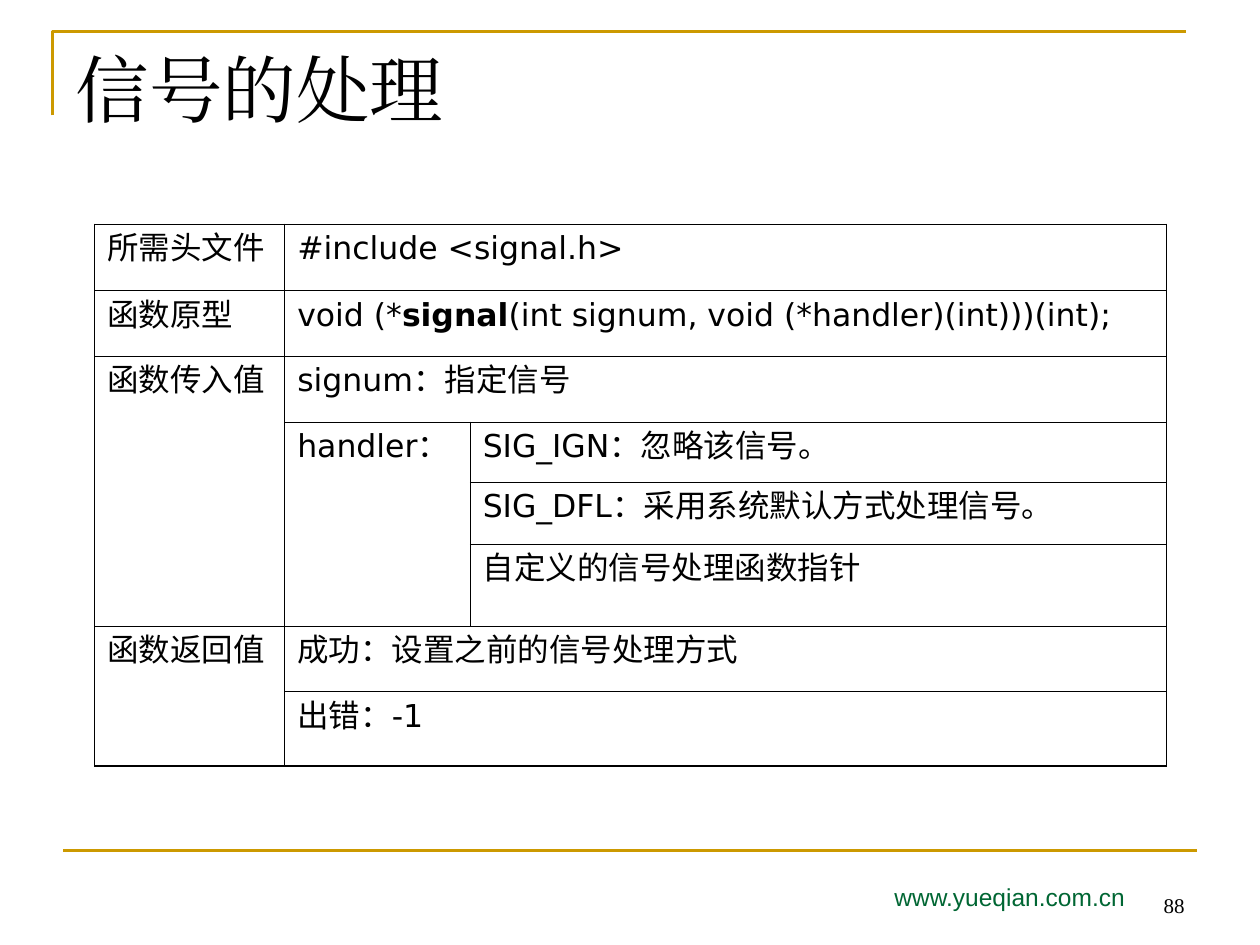
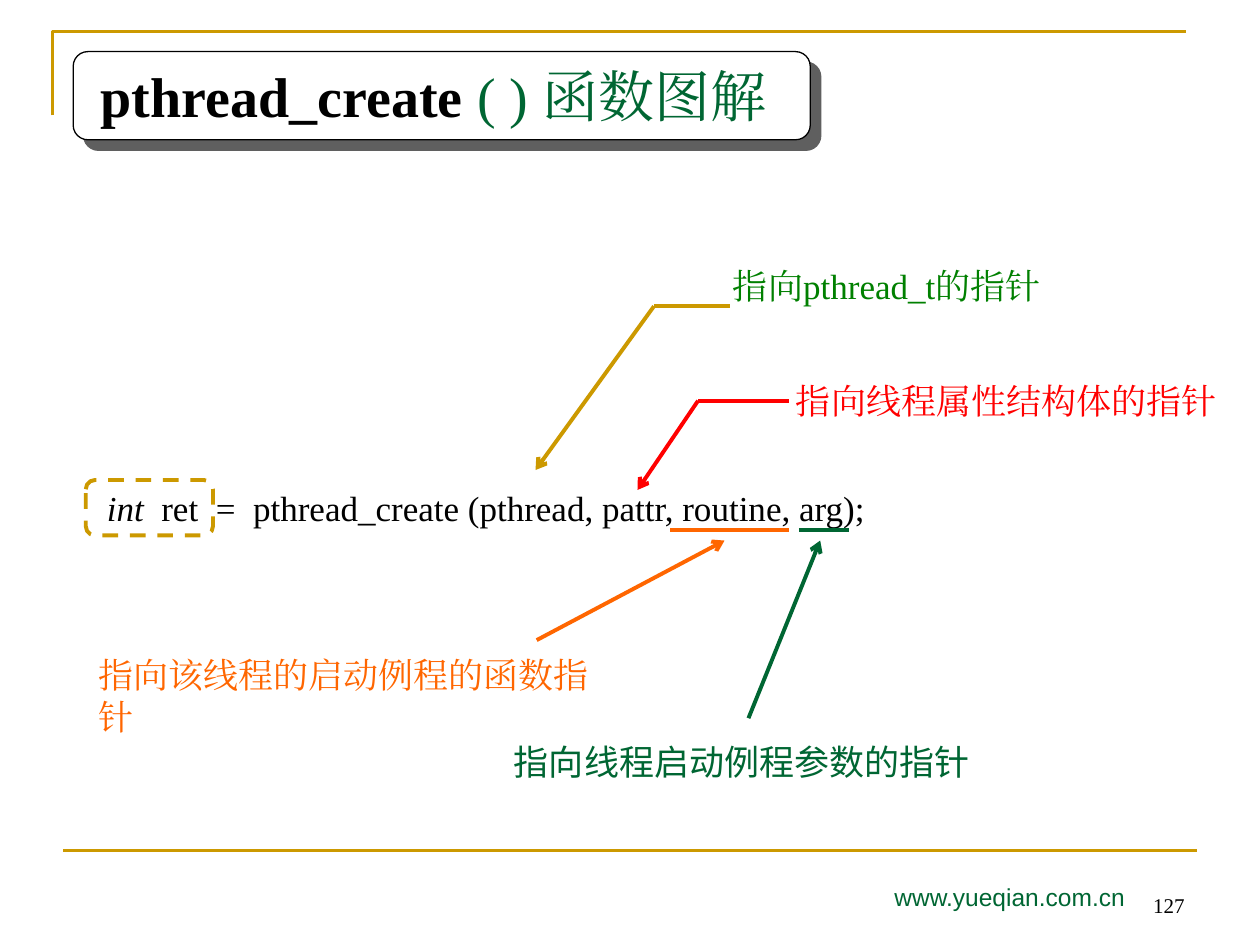
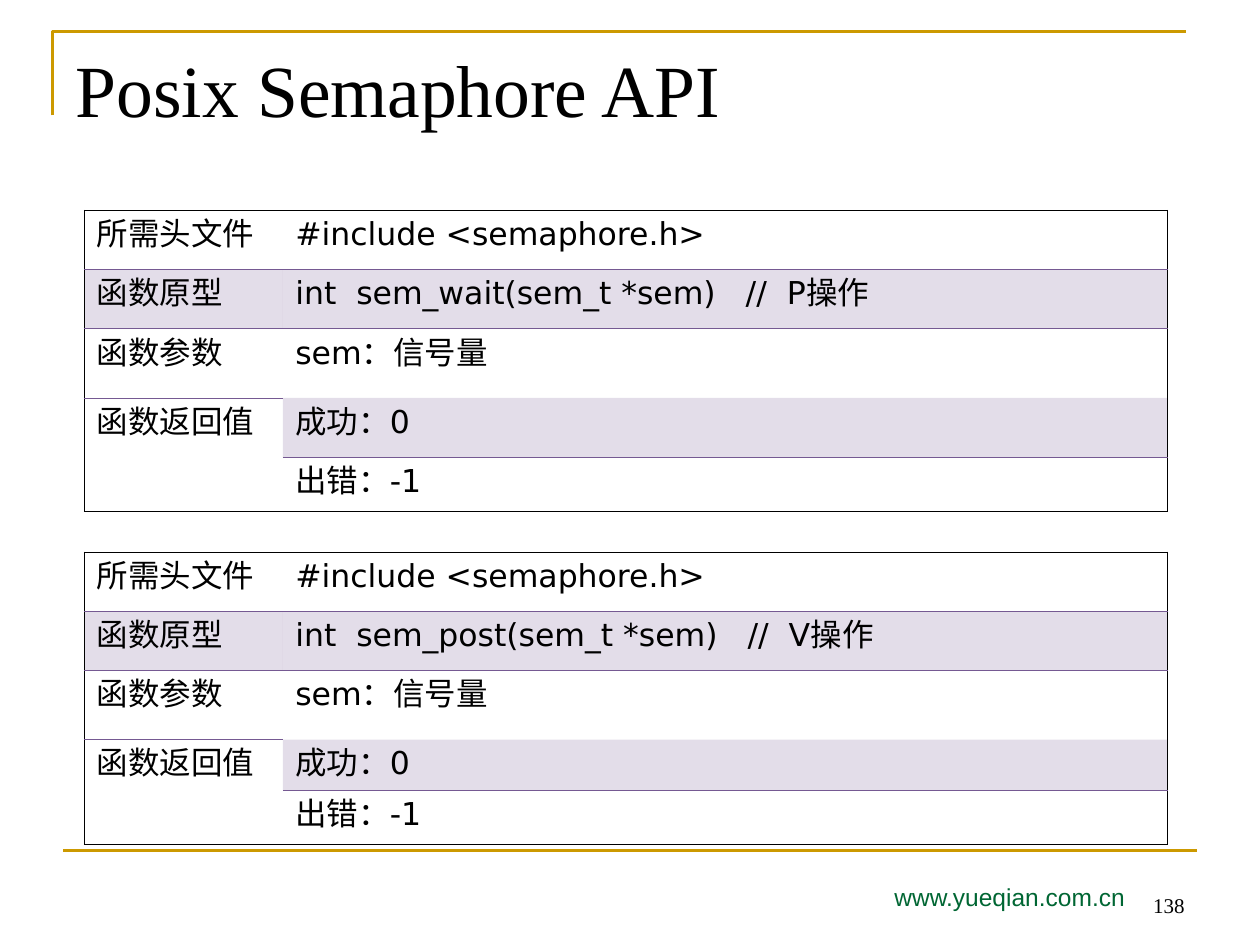
from lxml import etree
from pptx import Presentation
from pptx.dml.color import RGBColor
from pptx.enum import dml, shapes, text
from pptx.oxml.ns import qn
from pptx.util import Pt

GOLD, GREEN, BLACK, WHITE = "CC9900", "006633", "000000", "FFFFFF"
LEAF, RED, ORANGE = "008000", "FF0000", "FF6600"
PURPLE, SHADOW = "755992", "5F5F5F"
SERIF, SANS, TABLE_FONT = "Times New Roman", "Arial", "DejaVu Sans"
NO_GRID_STYLE = "{2D5ABB26-0587-4C30-8999-92F81FD0307C}"
RULE = 0.45


def rgb(value):
    return RGBColor.from_string(value)


def child(parent, tag, **attrs):
    return etree.SubElement(parent, qn(tag), {k: str(v) for k, v in attrs.items()})


def add_run(p, words, size, color=BLACK, font=SERIF, bold=False, italic=False):
    r = p.add_run()
    r.text = words
    r.font.size, r.font.name = Pt(size), font
    r.font.bold, r.font.italic = bold, italic
    r.font.color.rgb = rgb(color)
    child(r._r.get_or_add_rPr(), "a:ea", typeface=font)


def place(sp, box):
    sp.left, sp.top, sp.width, sp.height = map(Pt, box)


def add_label(slide, box, runs, wrap=False, align=text.PP_ALIGN.LEFT,
              anchor=text.MSO_ANCHOR.TOP):
    """Add a text box; each run is (words, size, further run settings)."""
    tf = slide.shapes.add_textbox(*map(Pt, box)).text_frame
    tf.word_wrap, tf.vertical_anchor = wrap, anchor
    p = tf.paragraphs[0]
    p.alignment = align
    for words, size, settings in runs:
        add_run(p, words, size, **settings)


def add_title(slide, runs, size=42, box=(36, 21.6, 648, 90)):
    sp = slide.shapes.title
    place(sp, box)
    tf = sp.text_frame
    tf.auto_size = text.MSO_AUTO_SIZE.NONE
    tf.vertical_anchor = text.MSO_ANCHOR.TOP
    p = tf.paragraphs[0]
    p.alignment = text.PP_ALIGN.LEFT
    for words, settings in runs:
        add_run(p, words, size, **settings)
    return sp


def add_line(slide, start, end, color, width, arrow=False):
    sp = slide.shapes.add_connector(
        shapes.MSO_CONNECTOR.STRAIGHT, *map(Pt, start + end))
    sp.line.color.rgb, sp.line.width = rgb(color), Pt(width)
    if arrow:
        child(sp.line._get_or_add_ln(), "a:tailEnd", type="arrow")
    child(sp._element.spPr, "a:effectLst")


def add_pointer(slide, color, *points):
    """Draw straight segments through the points, with an arrow at the last."""
    for start, end in zip(points, points[1:]):
        add_line(slide, start, end, color, 2.25, arrow=end == points[-1])


def add_round_rect(slide, box, color, width):
    sp = slide.shapes.add_shape(shapes.MSO_SHAPE.ROUNDED_RECTANGLE, *map(Pt, box))
    sp.shadow.inherit = False
    sp.fill.background()
    sp.line.color.rgb, sp.line.width = rgb(color), Pt(width)
    return sp


def add_hard_shadow(sp):
    effects = sp._element.spPr.find(qn("a:effectLst"))
    shadow = child(effects, "a:outerShdw", dist=Pt(8.5), dir=45 * 60000,
                   algn="ctr", rotWithShape=0)
    child(shadow, "a:srgbClr", val=SHADOW)


def add_slide(prs, number):
    """Add a slide with the corner frame, the footer rule and the footer."""
    slide = prs.slides.add_slide(prs.slide_layouts[5])
    builder = slide.shapes.build_freeform(Pt(30), Pt(66))
    builder.add_line_segments([(Pt(30), Pt(18)), (Pt(678), Pt(18))], close=False)
    corner = builder.convert_to_shape()
    corner.shadow.inherit = False
    corner.fill.background()
    corner.line.color.rgb, corner.line.width = rgb(GOLD), Pt(1.5)
    add_line(slide, (36, 486), (684, 486), GOLD, 1.5)
    add_label(slide, (504, 500.4, 180, 28.8),
              [("www.yueqian.com.cn", 14, dict(color=GREEN, font=SANS))], wrap=True)
    add_label(slide, (516.2, 491.8, 167.8, 36), [(str(number), 12, {})], wrap=True,
              align=text.PP_ALIGN.RIGHT, anchor=text.MSO_ANCHOR.BOTTOM)
    return slide


def set_borders(cell, borders):
    """Set the borders given as {side: (color, width)}, sides being L, R, T, B."""
    tcPr = cell._tc.get_or_add_tcPr()
    sides = [side for side in "LRTB" if side in borders]
    for i, side in enumerate(sides):
        color, width = borders[side]
        ln = etree.Element(qn(f"a:ln{side}"), w=str(Pt(width)))
        child(child(ln, "a:solidFill"), "a:srgbClr", val=color)
        tcPr.insert(i, ln)


def shade(cell):
    cell.fill.solid()
    cell.fill.fore_color.rgb = rgb(PURPLE)
    clr = cell._tc.tcPr.find(".//" + qn("a:srgbClr"))
    child(clr, "a:alpha", val=20000)


def add_grid(slide, left, top, widths, heights, entries, inner, side=RULE, end=RULE,
             shaded=()):
    """Add a table of (row, column, row span, column span, runs) entries.

    inner(row, col) gives the inner borders of a cell; side and end are the
    outer widths at left and right, and at top and bottom.
    """
    n_rows, n_cols = len(heights), len(widths)
    frame = slide.shapes.add_table(n_rows, n_cols, Pt(left), Pt(top),
                                   Pt(sum(widths)), Pt(sum(heights)))
    table = frame.table
    table.first_row = table.horz_banding = False
    table._tbl.tblPr.find(qn("a:tableStyleId")).text = NO_GRID_STYLE
    for column, width in zip(table.columns, widths):
        column.width = Pt(width)
    for row, height in zip(table.rows, heights):
        row.height = Pt(height)
    for row, col, row_span, col_span, runs in entries:
        cell = table.cell(row, col)
        if row_span * col_span > 1:
            cell.merge(table.cell(row + row_span - 1, col + col_span - 1))
        p = cell.text_frame.paragraphs[0]
        for words, bold in runs:
            add_run(p, words, 18, font=TABLE_FONT, bold=bold)
        if (row, col) in shaded:
            shade(cell)
        else:
            cell.fill.background()
        borders = inner(row, col)
        if col == 0:
            borders["L"] = BLACK, side
        if col + col_span == n_cols:
            borders["R"] = BLACK, side
        if row == 0:
            borders["T"] = BLACK, end
        if row + row_span == n_rows:
            borders["B"] = BLACK, end
        set_borders(cell, borders)


def plain(words):
    return [(words, False)]


def add_signal_slide(prs):
    slide = add_slide(prs, 88)
    add_title(slide, [("信号的处理", {})])
    prototype = [("void (*", False), ("signal", True),
                 ("(int signum, void (*handler)(int)))(int);", False)]
    entries = [
        (0, 0, 1, 1, plain("所需头文件")),
        (0, 1, 1, 2, plain("#include <signal.h>")),
        (1, 0, 1, 1, plain("函数原型")),
        (1, 1, 1, 2, prototype),
        (2, 0, 4, 1, plain("函数传入值")),
        (2, 1, 1, 2, plain("signum：指定信号")),
        (3, 1, 3, 1, plain("handler：")),
        (3, 2, 1, 1, plain("SIG_IGN：忽略该信号。")),
        (4, 2, 1, 1, plain("SIG_DFL：采用系统默认方式处理信号。")),
        (5, 2, 1, 1, plain("自定义的信号处理函数指针")),
        (6, 0, 2, 1, plain("函数返回值")),
        (6, 1, 1, 2, plain("成功：设置之前的信号处理方式")),
        (7, 1, 1, 2, plain("出错：-1")),
    ]
    add_grid(slide, 54, 128.2, [108.7, 106, 398],
             [38, 37.5, 37.5, 34.6, 35.2, 46.8, 37.5, 42.5], entries,
             inner=lambda row, col: dict.fromkeys("LRTB", (BLACK, RULE)),
             side=0.34, end=0.96)


def add_thread_slide(prs):
    slide = add_slide(prs, 127)
    panel = add_round_rect(slide, (41.8, 29.5, 421.2, 50.4), BLACK, 0.75)
    panel.fill.solid()
    panel.fill.fore_color.rgb = rgb(WHITE)
    add_hard_shadow(panel)
    title = add_title(slide, [("pthread_create", dict(bold=True)),
                              (" ( ) 函数图解", dict(color=GREEN))],
                      size=32, box=(50.4, 31.7, 423.4, 46))
    panel._element.addnext(title._element)

    add_label(slide, (54, 274.3, 640.8, 31.7), [
        ("int", 20, dict(italic=True)),
        ("  ret  =  pthread_create (pthread, pattr, routine, arg);", 20, {}),
    ], wrap=True)
    result = add_round_rect(slide, (49, 274.3, 72.7, 31.7), GOLD, 2.25)
    result.line.dash_style = dml.MSO_LINE.DASH

    for words, color, font, left, top, width in [
        ("指向pthread_t的指针", LEAF, SERIF, 411.8, 147.6, 199.4),
        ("指向线程属性结构体的指针", RED, SERIF, 447.8, 213.1, 254.9),
        ("指向该线程的启动例程的函数指针", ORANGE, SERIF, 49, 370.1, 314.6),
        ("指向线程启动例程参数的指针", GREEN, "Lato", 286.6, 419.8, 275),
    ]:
        add_label(slide, (left, top, width, 31.7),
                  [(words, 20, dict(color=color, font=font))])

    add_pointer(slide, GOLD, (416.9, 175), (373.7, 175), (306, 268.6))
    add_pointer(slide, RED, (450.7, 229), (398.9, 229), (364.3, 280))
    add_pointer(slide, ORANGE, (306.7, 365.8), (414, 308.9))
    add_pointer(slide, GREEN, (427.7, 410.4), (468.7, 308.9))
    add_line(slide, (383, 303), (450.7, 303), ORANGE, 2.25)
    add_line(slide, (456.5, 303), (485.3, 303), GREEN, 2.25)


def semaphore_borders(row, col):
    ruled = {(0, 0), (0, 1), (2, 0), (3, 1)}
    borders = {}
    if (row, col) in ruled:
        borders["B"] = PURPLE, RULE
    if (row - 1, col) in ruled:
        borders["T"] = PURPLE, RULE
    return borders


def add_semaphore_slide(prs):
    slide = add_slide(prs, 138)
    add_title(slide, [("Posix Semaphore API", {})])
    for top, success_height, prototype in [
        (120.2, 33.8, "int  sem_wait(sem_t *sem)   //  P操作"),
        (315.4, 28.8, "int  sem_post(sem_t *sem)   //  V操作"),
    ]:
        names = ["所需头文件", "函数原型", "函数参数", "函数返回值"]
        values = ["#include <semaphore.h>", prototype, "sem：信号量",
                  "成功：0", "出错：-1"]
        entries = [(row, 0, 2 if row == 3 else 1, 1, plain(words))
                   for row, words in enumerate(names)]
        entries += [(row, 1, 1, 1, plain(words)) for row, words in enumerate(values)]
        add_grid(slide, 48.2, top, [113.4, 505.6],
                 [33.8, 33.8, 39.6, success_height, 31], entries,
                 inner=semaphore_borders, shaded={(1, 0), (1, 1), (3, 1)})


def main():
    prs = Presentation()
    prs.slide_width, prs.slide_height = Pt(720), Pt(540)
    add_signal_slide(prs)
    add_thread_slide(prs)
    add_semaphore_slide(prs)
    prs.save("out.pptx")


if __name__ == "__main__":
    main()
